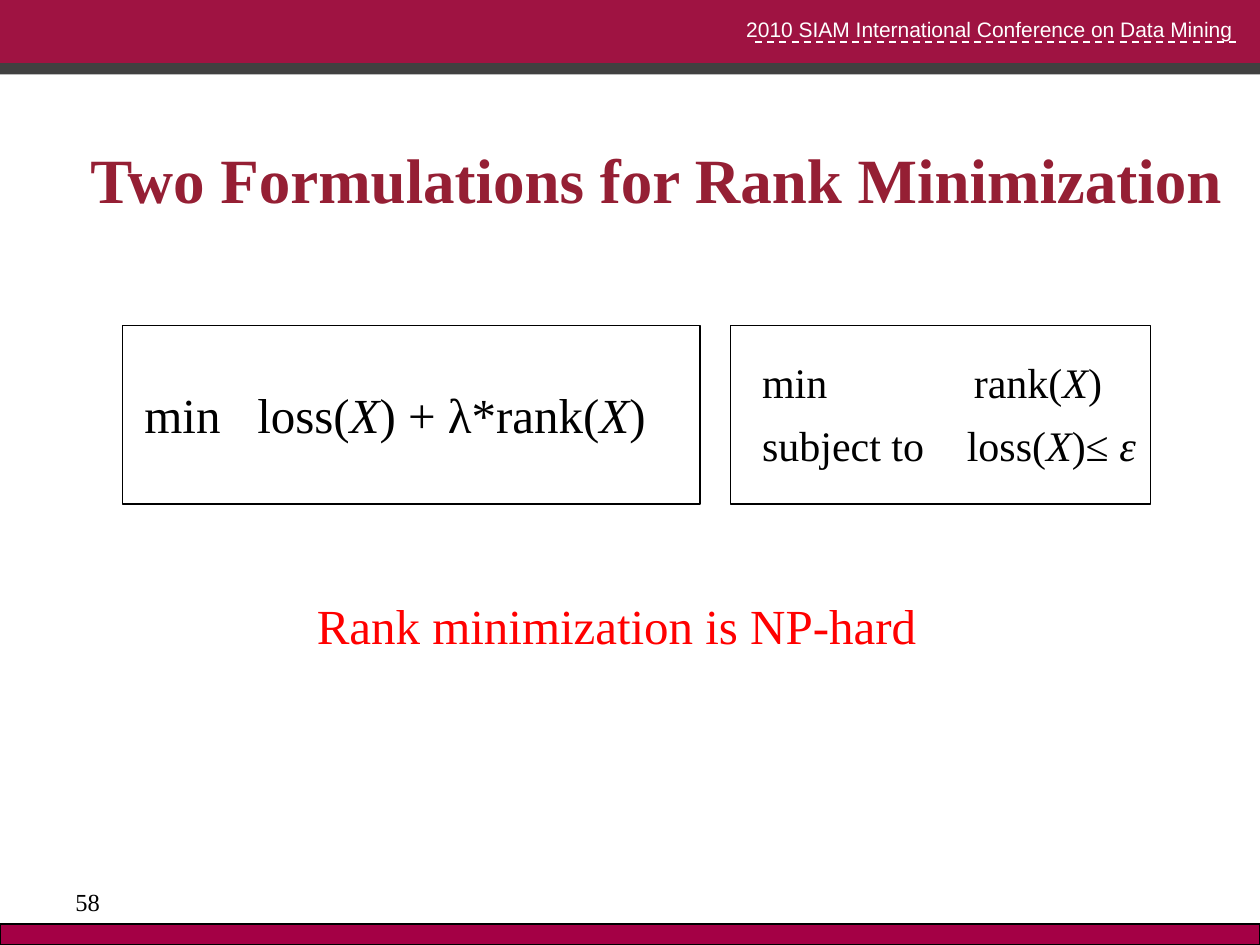
from lxml.etree import SubElement
from pptx import Presentation
from pptx.dml.color import RGBColor
from pptx.enum.dml import MSO_LINE
from pptx.enum.shapes import MSO_CONNECTOR, MSO_SHAPE
from pptx.enum.text import MSO_ANCHOR, PP_ALIGN
from pptx.oxml.ns import qn
from pptx.util import Pt

COLORS = {
    "footer": "A40045",
    "header": "9F1342",
    "stripe": "404040",
    "title": "951F34",
    "alert": "FF0000",
    "black": "000000",
    "white": "FFFFFF",
}
SERIF = "Times New Roman"


def rgb(name):
    return RGBColor.from_string(COLORS[name])


def add_rect(s, box, fill=None, line=None):
    sp = s.shapes.add_shape(MSO_SHAPE.RECTANGLE, *map(Pt, box))
    sp.shadow.inherit = False
    if fill:
        sp.fill.solid()
        sp.fill.fore_color.rgb = rgb(fill)
    else:
        sp.fill.background()
    if line:
        sp.line.color.rgb = rgb(line)
        sp.line.width = Pt(0.75)
    else:
        sp.line.fill.background()
    return sp


def add_run(p, text, size, color="black", font=SERIF, bold=False, italic=False):
    r = p.add_run()
    r.text = text
    r.font.name = font
    r.font.size = Pt(size)
    r.font.bold = bold
    r.font.italic = italic
    r.font.color.rgb = rgb(color)


def add_text(s, box, wrap=True):
    tf = s.shapes.add_textbox(*map(Pt, box)).text_frame
    tf.word_wrap = wrap
    return tf


def add_tab(p, pos):
    tabs = SubElement(p._p.get_or_add_pPr(), qn("a:tabLst"))
    SubElement(tabs, qn("a:tab"), pos=str(Pt(pos)), algn="l")


def add_header(s, box):
    left, top, width, height = box
    add_rect(s, (left, top + 12, width, height - 12), "stripe")
    add_rect(s, (left, top, width, height - 6.5), "header")
    p = add_text(s, (left + 324, top + 6, 391, 36)).paragraphs[0]
    p.alignment = PP_ALIGN.RIGHT
    add_run(p, "2010 SIAM International Conference on Data Mining ", 12, "white", "Arial")
    y = Pt(top + 24)
    rule = s.shapes.add_connector(
        MSO_CONNECTOR.STRAIGHT, Pt(left + 431.5), y, Pt(left + 708), y)
    rule.line.color.rgb = rgb("white")
    rule.line.width = Pt(1)
    rule.line.dash_style = MSO_LINE.DASH
    SubElement(rule._element.spPr, qn("a:effectLst"))


def add_title(s, box):
    title = s.shapes.title
    title.left, title.top, title.width, title.height = map(Pt, box)
    tf = title.text_frame
    tf.word_wrap = True
    tf.vertical_anchor = MSO_ANCHOR.MIDDLE
    p = tf.paragraphs[0]
    p.alignment = PP_ALIGN.CENTER
    add_run(p, "Two Formulations for Rank Minimization", 36, "title", bold=True)


def add_formula(s, frame, text_box, rows, size, inset=None):
    tf = add_text(s, text_box)
    if inset is not None:
        tf.margin_left = tf.margin_right = Pt(inset)
        tf.margin_top = tf.margin_bottom = Pt(inset)
    for i, (tab, parts) in enumerate(rows):
        p = tf.paragraphs[0] if i == 0 else tf.add_paragraph()
        add_tab(p, tab)
        if i:
            p.space_before = Pt(7)
        for text in parts:
            add_run(p, text, size, italic=text in ("X", "ε"))
    add_rect(s, frame, line="black")


def add_formulas(s, box):
    left, top, width, height = box
    add_formula(
        s, (left, top, 330, height), (left + 5.5, top + 30, 324, 42),
        [(64.5, ["min\tloss(", "X", ") + λ*rank(", "X", ")"])], 28)
    right = left + width - 240
    add_formula(
        s, (right, top, 240, height), (right + 18, top + 18, 222, 66),
        [(121, ["min\trank(", "X", ")"]),
         (117, ["subject to\tloss(", "X", ")≤ ", "ε"])], 24, inset=0)


def add_conclusion(s, box):
    tf = add_text(s, box, wrap=False)
    add_run(tf.paragraphs[0], "Rank minimization is NP-hard", 28, "alert")


def add_footer(s, box):
    left, top, width, height = box
    add_rect(s, box, "footer", "black")
    p = add_text(s, (left + 36, top - 24.5, 84, 25)).paragraphs[0]
    add_run(p, "58", 14)


def main():
    prs = Presentation()
    prs.slide_width, prs.slide_height = Pt(720), Pt(540)
    s = prs.slides.add_slide(prs.slide_layouts[5])
    add_header(s, (0, 0, 720, 42.5))
    add_title(s, (30, 60, 690, 84))
    add_formulas(s, (70, 186, 587.5, 102))
    add_conclusion(s, (174, 337, 361, 41))
    add_footer(s, (0, 528, 720, 12))
    prs.save("out.pptx")


if __name__ == "__main__":
    main()
